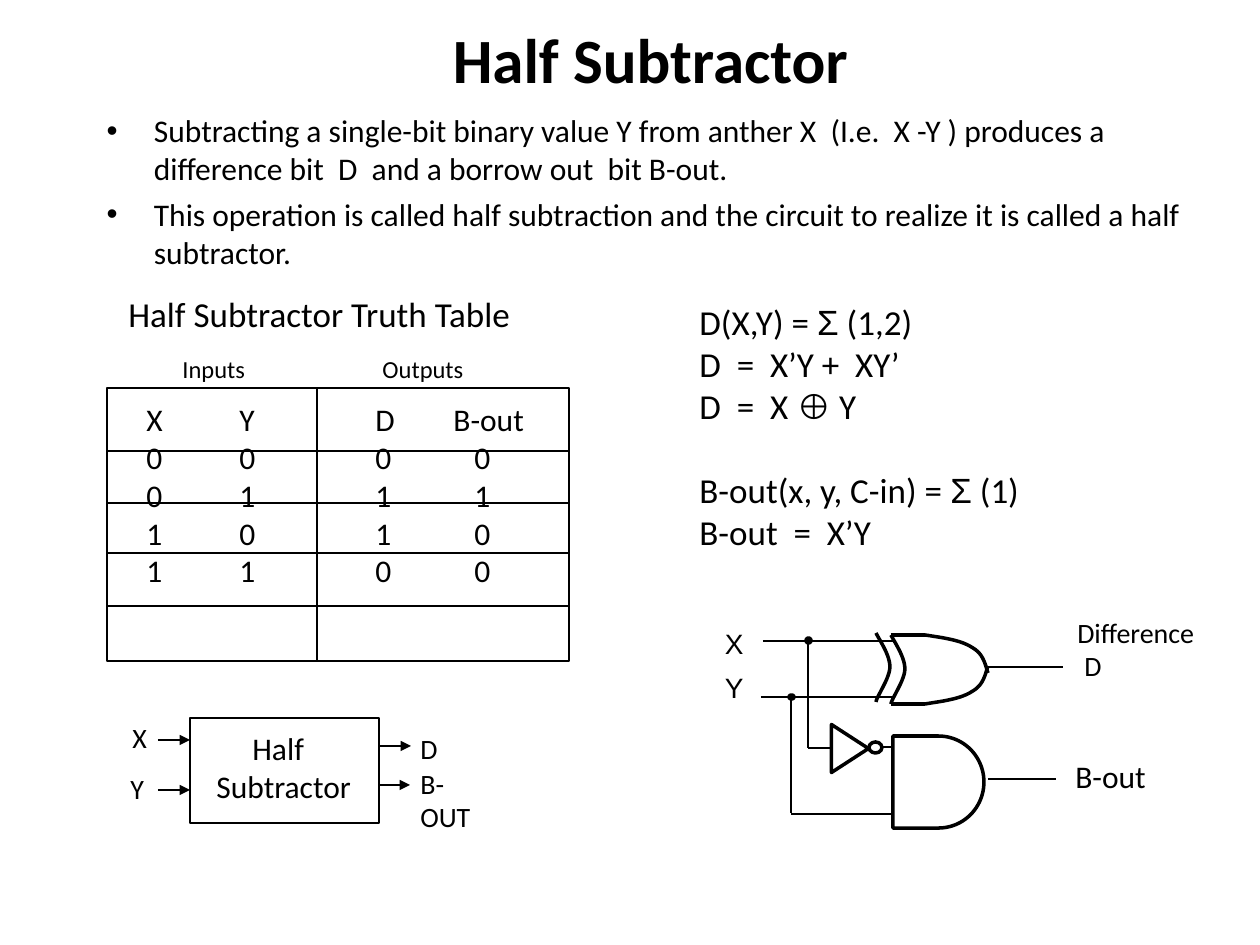
from dataclasses import dataclass
from itertools import groupby

from lxml import etree
from pptx import Presentation
from pptx import util as u
from pptx.dml.color import RGBColor
from pptx.enum import shapes, text
from pptx.oxml.ns import qn


@dataclass(frozen=True)
class Theme:
    ink: RGBColor = RGBColor(0, 0, 0)
    font: str = "Calibri"
    symbol_font: str = "Arial"
    title: int = 36
    formula: int = 20
    body: int = 18
    label: int = 16
    caption: int = 14
    thin: float = 1
    wire: float = 1.5
    gate: float = 2


THEME = Theme()
SYMBOLS = "Σ⊕"
PX = 914400 / 126

TITLE = "Half Subtractor"
BULLETS = [
    "Subtracting a single-bit binary value Y from anther X  (I.e.  X -Y ) produces a "
    "difference bit  D  and a borrow out  bit B-out.",
    "This operation is called half subtraction and the circuit to realize it is called "
    "a half subtractor.",
]

# Truth table: (left, width, indent of the digits, column text)
TRUTH_COLUMNS = [
    (134, 42, 0, ["X", "0", "0", "1", "1"]),
    (227, 40, 0, ["Y", "0", "1", "0", "1"]),
    (363, 44, 0, ["D", "0", "1", "1", "0"]),
    (441, 96, 21, ["B-out", "0", "1", "0", "0"]),
]
TABLE_FRAME = (107, 388, 462, 273)
TABLE_ROWS = [451, 503, 553, 606]
TABLE_SPLIT = 317

FORMULAS = ["D(X,Y) = Σ (1,2)", "D  =  X’Y +  XY’", "D  =  X ⊕ Y",
            "B-out(x, y, C-in) = Σ (1)", "B-out  =  X’Y"]

# Labels: (text lines, left, top, width, height, size)
LABELS = [
    (["Half Subtractor Truth Table"], 116, 286, 413, 55, THEME.formula),
    (["Inputs"], 170, 348, 88, 43, THEME.caption),
    (["Outputs"], 370, 348, 106, 43, THEME.caption),
    (["X"], 120, 714, 39, 47, THEME.label),
    (["Y"], 118, 765, 39, 47, THEME.label),
    (["D"], 408, 725, 42, 47, THEME.label),
    (["B-OUT"], 408, 760, 98, 47, THEME.label),
    (["B-out"], 1063, 751, 113, 50, THEME.body),
]

BLOCK = (190, 718, 189, 105)
BLOCK_ARROWS = [(158, 740, 190), (158, 790, 190), (379, 746, 411), (378, 785, 410)]

# Circuit wires: (x1, y1, x2, y2)
WIRES = [
    (763, 641, 893, 641), (761, 697, 893, 697), (989, 667, 1063, 667),
    (791, 814, 893, 814), (988, 779, 1056, 779), (791, 697, 791, 813),
    (808, 642, 808, 748), (808, 748, 830, 748), (883, 747, 893, 747),
]
JUNCTIONS = [(806, 638, 5, 5), (789, 695, 5, 4)]
XOR_TOP, XOR_BOTTOM, XOR_LEFT, XOR_SHOULDER = 635, 704, 891, 925
XOR_BACK = [(891, 635), (897, 646), (905, 658), (905, 669),
            (905, 680), (892, 698), (891, 704)]
XOR_NOSE = [(925, 635), (944, 638), (961, 640), (973, 648),
            (983, 654), (985, 663), (988, 673)]
XOR_GAP = (-15, -2)


def px(*lengths):
    return [u.Emu(round(length * PX)) for length in lengths]


def write(para, content, size, font=THEME.font, bold=None, indent=0, before=0,
          align=None):
    """Fill one paragraph, setting mathematical symbols in the symbol font."""
    if indent:
        para._p.get_or_add_pPr().set("marL", str(px(indent)[0]))
    para.space_before = u.Pt(before)
    if align is not None:
        para.alignment = align
    for is_symbol, letters in groupby(content, lambda letter: letter in SYMBOLS):
        span = para.add_run()
        span.text = "".join(letters)
        span.font.name = THEME.symbol_font if is_symbol else font
        span.font.size = u.Pt(size)
        span.font.bold = bold
        span.font.color.rgb = THEME.ink


def add_lines(page, lines, frame, size, wrap=False, indents=(), befores=(), **style):
    """Add a text box; indents and befores hold one value per line."""
    box = page.shapes.add_textbox(*px(*frame)).text_frame
    box.word_wrap = wrap
    for index, content in enumerate(lines):
        para = box.add_paragraph() if index else box.paragraphs[0]
        write(para, content, size,
              indent=indents[index] if indents else 0,
              before=befores[index] if befores else 0, **style)


def outline(shape, width, filled=False):
    shape.shadow.inherit = False
    if filled:
        shape.fill.solid()
        shape.fill.fore_color.rgb = THEME.ink
    else:
        shape.fill.background()
    shape.line.color.rgb = THEME.ink
    shape.line.width = u.Pt(width)
    return shape


def add_outlined(page, kind, frame, width, filled=False):
    return outline(page.shapes.add_shape(kind, *px(*frame)), width, filled)


def add_wire(page, ends, width, arrow=False):
    wire = page.shapes.add_connector(shapes.MSO_CONNECTOR.STRAIGHT, *px(*ends))
    wire.line.color.rgb = THEME.ink
    wire.line.width = u.Pt(width)
    if arrow:
        etree.SubElement(wire.line._get_or_add_ln(), qn("a:tailEnd"), type="triangle")
    etree.SubElement(wire._element.spPr, qn("a:effectLst"))


def add_curve(page, controls, steps=12):
    """Draw joined cubic curves; each takes three more control points."""
    points = [controls[0]]
    for start in range(0, len(controls) - 1, 3):
        a, b, c, d = controls[start:start + 4]
        for step in range(1, steps + 1):
            t = step / steps
            s = 1 - t
            points.append(tuple(
                s**3 * a[k] + 3 * s * s * t * b[k] + 3 * s * t * t * c[k] + t**3 * d[k]
                for k in (0, 1)))
    points = [px(*point) for point in points]
    builder = page.shapes.build_freeform(*points[0])
    builder.add_line_segments(points[1:], close=False)
    outline(builder.convert_to_shape(), THEME.gate)


def fill_placeholders(page):
    title, body = page.shapes.title, page.placeholders[1]
    title.left, title.top, title.width, title.height = px(94, 32, 1113, 53)
    write(title.text_frame.paragraphs[0], TITLE, THEME.title, bold=True)
    body.left, body.top, body.width, body.height = px(94, 105, 1102, 210)
    frame = body.text_frame
    for index, content in enumerate(BULLETS):
        para = frame.add_paragraph() if index else frame.paragraphs[0]
        write(para, content, THEME.body, before=4.5 if index else 0)


def draw_truth_table(page):
    for left, width, shift, column in TRUTH_COLUMNS:
        add_lines(page, column, (left, 394, width, 202), THEME.body,
                  indents=[0] + [shift] * (len(column) - 1))
    left, top, width, height = TABLE_FRAME
    add_outlined(page, shapes.MSO_SHAPE.RECTANGLE, TABLE_FRAME, THEME.thin)
    for y in TABLE_ROWS:
        add_wire(page, (left, y, left + width, y), THEME.thin)
    add_wire(page, (TABLE_SPLIT, top, TABLE_SPLIT, top + height), THEME.thin)


def draw_block(page):
    add_outlined(page, shapes.MSO_SHAPE.RECTANGLE, BLOCK, THEME.wire)
    add_lines(page, ["Half", "Subtractor"], (204, 723, 160, 88), THEME.body,
              indents=[36, 0])
    for start, y, end in BLOCK_ARROWS:
        add_wire(page, (start, y, end, y), THEME.thin, arrow=True)


def draw_circuit(page):
    for ends in WIRES:
        add_wire(page, ends, THEME.wire)
    for frame in JUNCTIONS:
        add_outlined(page, shapes.MSO_SHAPE.OVAL, frame, THEME.gate, filled=True)
    add_curve(page, XOR_BACK)
    add_curve(page, [(x + XOR_GAP[0], y + XOR_GAP[1]) for x, y in XOR_BACK])
    add_curve(page, XOR_NOSE)
    add_curve(page, [(x, XOR_TOP + XOR_BOTTOM - y) for x, y in XOR_NOSE])
    for y in (XOR_TOP, XOR_BOTTOM):
        add_wire(page, (XOR_LEFT, y, XOR_SHOULDER, y), THEME.gate)
    add_outlined(page, shapes.MSO_SHAPE.FLOWCHART_DELAY, (893, 736, 91, 92), THEME.gate)
    inverter = add_outlined(page, shapes.MSO_SHAPE.FLOWCHART_MERGE, (826, 730, 48, 37),
                            THEME.gate)
    inverter.rotation = 270
    add_outlined(page, shapes.MSO_SHAPE.OVAL, (869, 742, 13, 11), THEME.gate)
    add_lines(page, ["X", "Y"], (707, 620, 49, 91), THEME.label, wrap=True,
              font=THEME.symbol_font, befores=[0, 6], align=text.PP_ALIGN.RIGHT)
    add_lines(page, ["Difference", "D"], (1065, 609, 154, 81), THEME.label, wrap=True,
              indents=[0, 7])


def main():
    deck = Presentation()
    deck.slide_width, deck.slide_height = px(1260, 945)
    page = deck.slides.add_slide(deck.slide_layouts[1])
    fill_placeholders(page)
    draw_truth_table(page)
    add_lines(page, FORMULAS, (624, 294, 410, 265), THEME.formula, wrap=True,
              indents=[63] * len(FORMULAS), befores=[0, 0, 0, 24, 0])
    draw_block(page)
    draw_circuit(page)
    for lines, *frame, size in LABELS:
        add_lines(page, lines, frame, size)
    deck.save("out.pptx")


if __name__ == "__main__":
    main()
